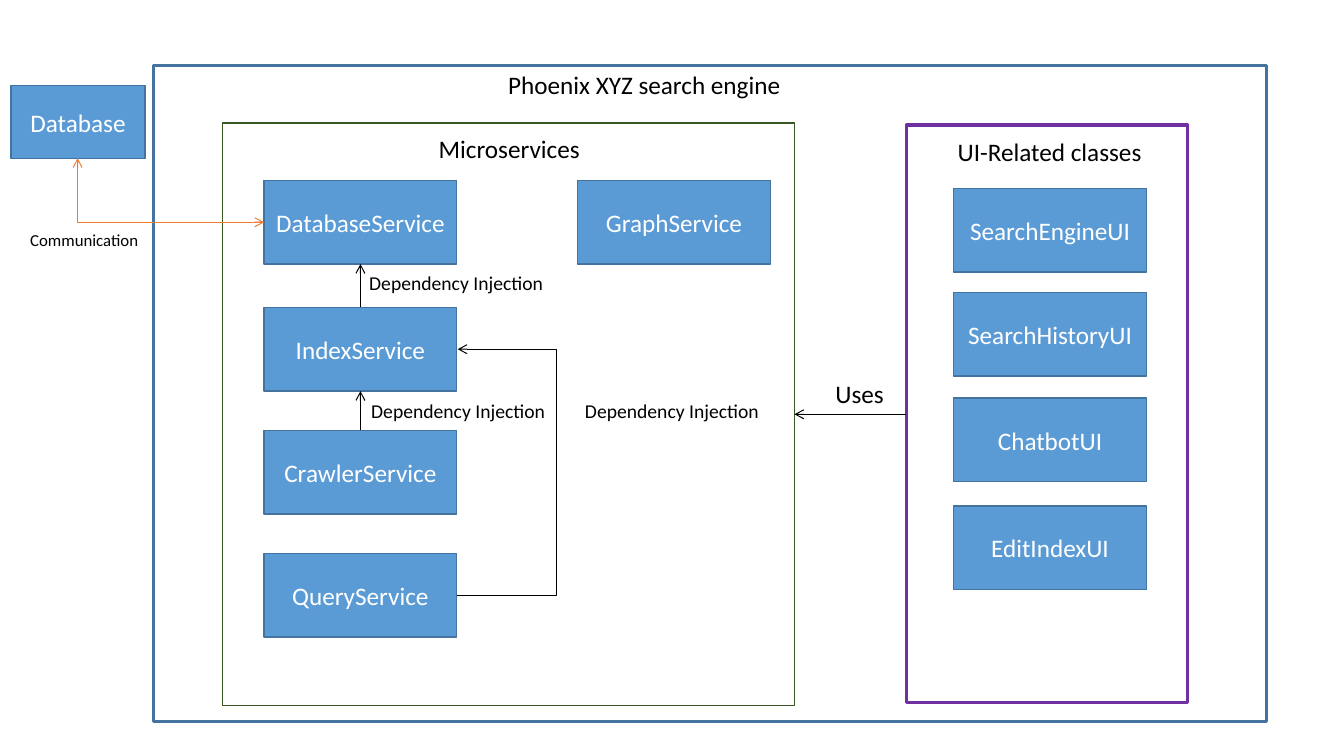
from lxml import etree
from pptx import Presentation
from pptx.dml.color import RGBColor
from pptx.enum.shapes import MSO_CONNECTOR as Connector, MSO_SHAPE as Shape
from pptx.enum.text import MSO_ANCHOR as Anchor, PP_ALIGN as Align
from pptx.oxml.ns import qn
from pptx.util import Inches, Pt

COLOURS = {
    "blue": "5B9BD5",
    "border": "43739E",
    "green": "385723",
    "purple": "7030A0",
    "orange": "ED7D31",
    "black": "000000",
    "white": "FFFFFF",
}
BOX_WIDTH, BOX_HEIGHT = 1.91, 0.83
SERVICE_LEFT, GRAPH_LEFT, UI_LEFT = 2.62, 5.73, 9.46
SERVICE_TOPS = {
    "DatabaseService": 1.79,
    "IndexService": 3.05,
    "CrawlerService": 4.27,
    "QueryService": 5.49,
}
UI_TOPS = {
    "SearchEngineUI": 1.87,
    "SearchHistoryUI": 2.9,
    "ChatbotUI": 3.95,
    "EditIndexUI": 5.02,
}


class Diagram:
    font = "Calibri"
    text_format = {"vertical_anchor": Anchor.MIDDLE, "word_wrap": True,
                   "margin_left": Inches(0.05), "margin_right": Inches(0.05)}
    label_format = {"vertical_anchor": Anchor.TOP, "word_wrap": False}

    def __init__(self, slide):
        self.slide = slide

    def colour(self, name):
        return RGBColor.from_string(COLOURS[name])

    def add_text(self, shape, text, size, colour, frame_format):
        frame = shape.text_frame
        for name, value in frame_format.items():
            setattr(frame, name, value)
        paragraph = frame.paragraphs[0]
        paragraph.alignment = Align.CENTER
        run = paragraph.add_run()
        run.text = text
        for name, value in {"name": self.font, "size": Pt(size)}.items():
            setattr(run.font, name, value)
        run.font.color.rgb = self.colour(colour)

    def rectangle(self, left, top, width, height, line, weight):
        shape = self.slide.shapes.add_shape(
            Shape.RECTANGLE, *map(Inches, (left, top, width, height)))
        shape.shadow.inherit = False
        shape.fill.background()
        shape.line.color.rgb = self.colour(line)
        shape.line.width = Pt(weight)
        return shape

    def box(self, text, left, top, width=BOX_WIDTH, height=BOX_HEIGHT):
        shape = self.rectangle(left, top, width, height, "border", 1)
        shape.fill.solid()
        shape.fill.fore_color.rgb = self.colour("blue")
        self.add_text(shape, text, 18, "white", self.text_format)

    def label(self, text, left, top, width, height=0.4, size=18):
        shape = self.slide.shapes.add_textbox(
            *map(Inches, (left, top, width, height)))
        self.add_text(shape, text, size, "black", self.label_format)

    def arrow(self, start, end, kind=Connector.STRAIGHT, colour="black",
              ends=("tailEnd",)):
        connector = self.slide.shapes.add_connector(
            kind, *map(Inches, (*start, *end)))
        connector.line.color.rgb = self.colour(colour)
        connector.line.width = Pt(0.75)
        properties = connector._element.spPr
        line = properties.find(qn("a:ln"))
        for name in ends:
            etree.SubElement(line, qn(f"a:{name}"), type="arrow")
        etree.SubElement(properties, qn("a:effectLst"))
        return properties.find(qn("a:prstGeom"))

    def side_arrow(self, start, end, turn):
        geometry = self.arrow(start, end, Connector.ELBOW)
        ratio = round((turn - start[0]) / (end[0] - start[0]) * 100000)
        guides = geometry.find(qn("a:avLst"))
        etree.SubElement(guides, qn("a:gd"), name="adj1", fmla=f"val {ratio}")

    def corner_arrow(self, start, end, colour):
        geometry = self.arrow(start, end, Connector.ELBOW, colour,
                              ("headEnd", "tailEnd"))
        geometry.set("prst", "bentConnector2")


def main():
    presentation = Presentation()
    presentation.slide_width = Inches(13.33)
    presentation.slide_height = Inches(7.5)
    diagram = Diagram(
        presentation.slides.add_slide(presentation.slide_layouts[6]))

    diagram.rectangle(1.52, 0.65, 11.04, 6.51, "border", 2.25)
    diagram.label("Phoenix XYZ search engine", 4.9, 0.64, 2.98)

    diagram.rectangle(2.21, 1.22, 5.67, 5.78, "green", 1)
    diagram.label("Microservices", 4.24, 1.27, 1.62)
    for name, top in SERVICE_TOPS.items():
        diagram.box(name, SERVICE_LEFT, top)
    diagram.box("GraphService", GRAPH_LEFT, SERVICE_TOPS["DatabaseService"])

    centre = SERVICE_LEFT + BOX_WIDTH / 2
    right = SERVICE_LEFT + BOX_WIDTH
    tops = list(SERVICE_TOPS.values())
    for upper, lower in zip(tops[:2], tops[1:3]):
        diagram.arrow((centre, lower), (centre, upper + BOX_HEIGHT))
    diagram.side_arrow((right, tops[3] + BOX_HEIGHT / 2),
                       (right + 0.01, tops[1] + BOX_HEIGHT / 2), 5.54)
    for left, top in ((3.55, 2.64), (3.57, 3.91), (5.69, 3.91)):
        diagram.label("Dependency Injection", left, top, 1.95, 0.34, 14)

    diagram.rectangle(8.99, 1.24, 2.79, 5.73, "purple", 2.25)
    diagram.label("UI-Related classes", 9.39, 1.3, 2.04)
    for name, top in UI_TOPS.items():
        diagram.box(name, UI_LEFT, top)
    diagram.arrow((8.99, 4.11), (7.88, 4.11))
    diagram.label("Uses", 8.18, 3.7, 0.69)

    diagram.box("Database", 0.11, 0.85, 1.33, 0.72)
    diagram.corner_arrow((SERVICE_LEFT, tops[0] + BOX_HEIGHT / 2),
                         (0.77, 1.57), "orange")
    diagram.label("Communication", 0.19, 2.23, 1.29, 0.3, 12)

    presentation.save("out.pptx")


if __name__ == "__main__":
    main()
